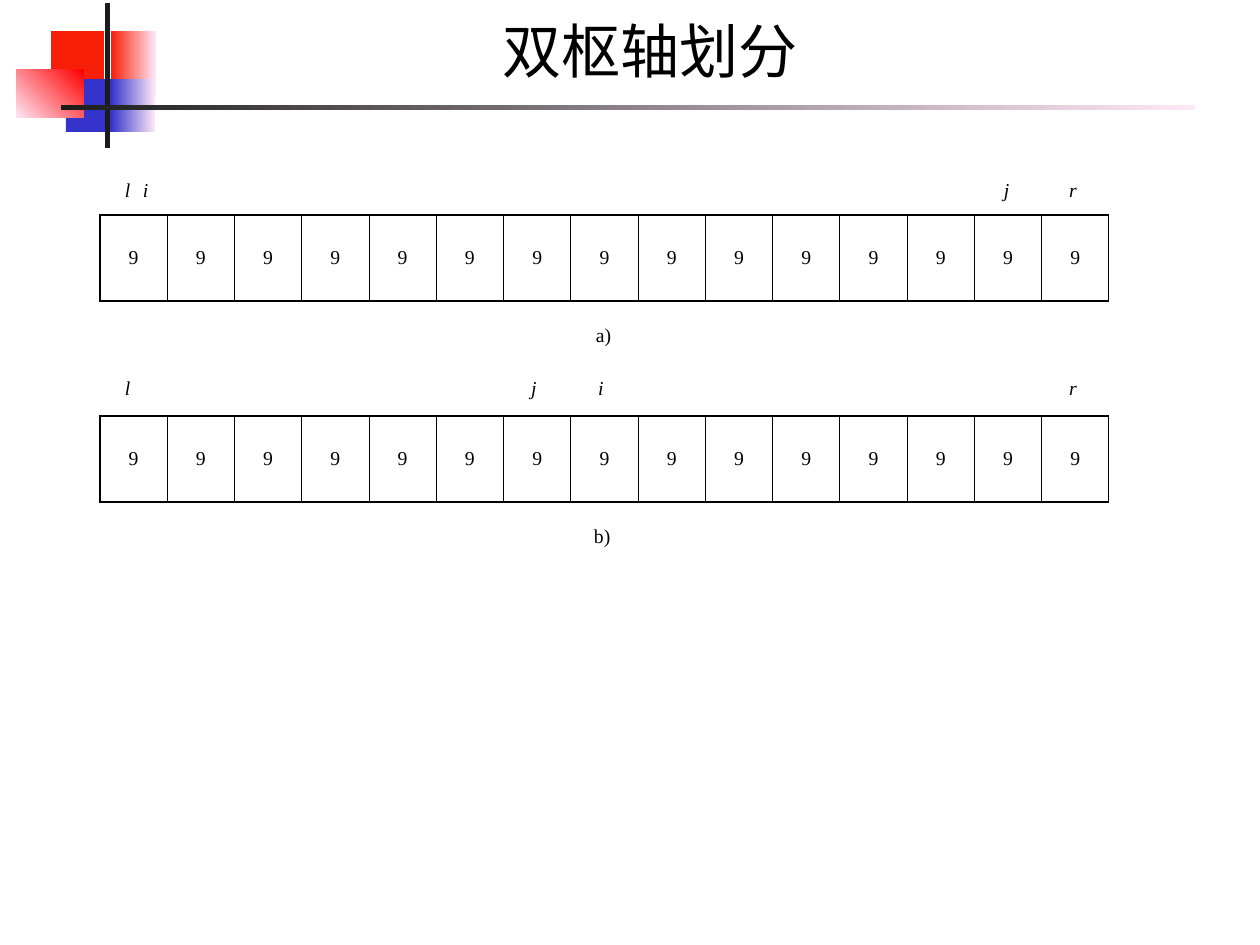
import lxml.etree
import pptx
import pptx.dml.color
import pptx.enum.shapes
import pptx.enum.text
import pptx.oxml.ns
import pptx.util

SCALE = 10320
COLORS = {
    "ink": "000000",
    "paper": "FFFFFF",
    "red": "F81F08",
    "bright": "FF0000",
    "blue": "3333CC",
    "pale": "FEE8F7",
    "bar": "1C1C1C",
}
SERIF = "Times New Roman"
COLUMNS = 15
LABEL_HEIGHT = 58
ROW_HEIGHT = 86
INSET = 5


def px(length):
    """Turn a length in px into EMU."""
    return pptx.util.Emu(length * SCALE)


def color(name):
    """Look up a named colour."""
    return pptx.dml.color.RGBColor.from_string(COLORS[name])


def write(frame, text, size, font, italic=False, centred=False):
    """Write one styled run into the first paragraph of a frame."""
    para = frame.paragraphs[0]
    if centred:
        para.alignment = pptx.enum.text.PP_ALIGN.CENTER
    span = para.add_run()
    span.text = text
    span.font.size = pptx.util.Pt(size)
    span.font.name = font
    span.font.italic = italic
    span.font.color.rgb = color("ink")


def add_text(page, box, text, size, font, anchor, indent=0, **style):
    """Place a text box with small insets."""
    frame = page.shapes.add_textbox(*map(px, box)).text_frame
    frame.word_wrap = True
    frame.vertical_anchor = anchor
    frame.margin_left = px(INSET + indent)
    frame.margin_right = frame.margin_top = frame.margin_bottom = px(INSET)
    write(frame, text, size, font, **style)


def draw_ornament(page, box):
    """Draw the coloured squares and the crossing bars."""
    left, top, width, height = box
    parts = [
        ((95, 28, 45, 66), ("red", "pale"), 0),
        ((35, 28, 53, 53), ("red",), 0),
        ((50, 76, 51, 53), ("blue",), 0),
        ((95, 76, 44, 53), ("blue", "pale"), 0),
        ((0, 67, 68, 48), ("pale", "bright"), 45),
        ((89, 0, 5, height), ("bar",), 0),
        ((45, 102, width - 45, 5), ("bar", "pale"), 0),
    ]
    for (x, y, part_width, part_height), tones, angle in parts:
        shape = page.shapes.add_shape(
            pptx.enum.shapes.MSO_SHAPE.RECTANGLE,
            px(left + x), px(top + y), px(part_width), px(part_height),
        )
        shape.shadow.inherit = False
        shape.line.fill.background()
        if len(tones) == 1:
            shape.fill.solid()
            shape.fill.fore_color.rgb = color(tones[0])
        else:
            shape.fill.gradient()
            shape.fill.gradient_angle = angle
            for stop, tone in zip(shape.fill.gradient_stops, tones):
                stop.color.rgb = color(tone)


def draw_title(page, box):
    """Place the slide title."""
    add_text(page, box, "双枢轴划分", 48, "Montserrat",
             pptx.enum.text.MSO_ANCHOR.TOP, centred=True)


def style_cell(cell):
    """Give a cell thin borders, a plain fill and a centred value."""
    qn = pptx.oxml.ns.qn
    properties = cell._tc.get_or_add_tcPr()
    for side in ("lnL", "lnR", "lnT", "lnB"):
        border = lxml.etree.SubElement(properties, qn(f"a:{side}"), w="12700")
        fill = lxml.etree.SubElement(border, qn("a:solidFill"))
        lxml.etree.SubElement(fill, qn("a:srgbClr"), val=COLORS["ink"])
    cell.fill.solid()
    cell.fill.fore_color.rgb = color("paper")
    cell.vertical_anchor = pptx.enum.text.MSO_ANCHOR.MIDDLE
    cell.margin_left = cell.margin_right = px(INSET)
    cell.margin_top = cell.margin_bottom = px(INSET)
    write(cell.text_frame, "9", 16, SERIF, centred=True)


def draw_array(page, box, pointers, caption):
    """Draw an array with its index pointers above and its caption below."""
    left, top, width, height = box
    middle = pptx.enum.text.MSO_ANCHOR.MIDDLE
    caption_top = top + height - LABEL_HEIGHT
    table_top = caption_top - INSET - ROW_HEIGHT
    table = page.shapes.add_table(
        1, COLUMNS, px(left), px(table_top), px(width), px(ROW_HEIGHT)
    ).table
    table.first_row = table.horz_banding = False
    for column in table.columns:
        column.width = px(width) // COLUMNS
    for cell in table.iter_cells():
        style_cell(cell)
    for name, offset in pointers.items():
        add_text(page, (left + offset, top, 34, LABEL_HEIGHT), name, 16,
                 SERIF, middle, indent=4, italic=True)
    text, offset = caption
    add_text(page, (left + offset, caption_top, 47, LABEL_HEIGHT), text, 16,
             SERIF, middle, indent=4)


def main():
    """Build the slide and save the deck."""
    deck = pptx.Presentation()
    deck.slide_width, deck.slide_height = px(1260), px(945)
    page = deck.slides.add_slide(deck.slide_layouts[6])
    draw_ornament(page, (16, 3, 1179, 145))
    draw_title(page, (118, 9, 1064, 92))
    draw_array(page, (100, 161, 1009, 203),
               {"l": 16, "r": 960, "i": 34, "j": 895}, ("a)", 487))
    draw_array(page, (100, 359, 1009, 206),
               {"l": 16, "r": 960, "i": 489, "j": 422}, ("b)", 485))
    deck.save("out.pptx")


if __name__ == "__main__":
    main()
